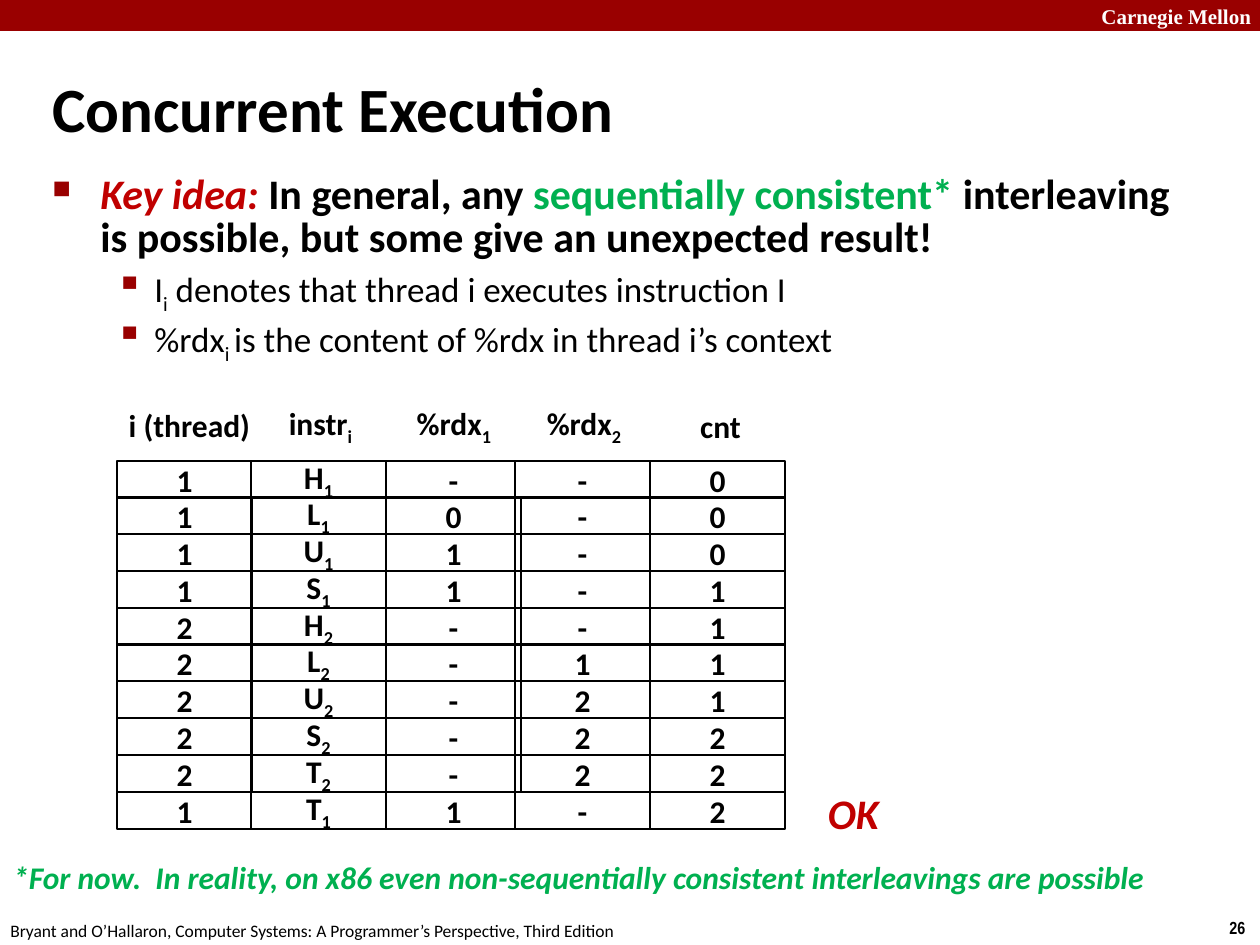
"""Build the Concurrent Execution slide with its interleaving trace."""
from lxml.etree import SubElement
from pptx import Presentation
from pptx.dml.color import RGBColor
from pptx.enum.shapes import MSO_SHAPE as Shape
from pptx.enum.text import MSO_ANCHOR as Anchor, MSO_AUTO_SIZE as AutoSize, PP_ALIGN as Align
from pptx.oxml.ns import qn
from pptx.util import Pt

PX = 914400 / 126
BLACK, WHITE, RED, CRIMSON, GREEN = "000000", "FFFFFF", "990000", "C00000", "00B050"
color_of = RGBColor.from_string


def add_spans(para, text, size, color=BLACK, bold=True, italic=False, font="Calibri"):
    for order, piece in enumerate(text.split("_")):
        span = para.add_run()
        span.text = piece
        span.font.name, span.font.size = font, Pt(size)
        span.font.bold, span.font.italic = bold, italic
        span.font.color.rgb = color_of(color)
        if order % 2:
            span._r.get_or_add_rPr().set("baseline", "-25000")


def add_box(left, top, width, height, anchor=Anchor.TOP, align=Align.LEFT, wrap=True, shape=None):
    place = [round(side * PX) for side in (left, top, width, height)]
    if shape is None:
        box = page.shapes.add_textbox(*place)
    else:
        box = page.shapes.add_shape(shape, *place)
        box.shadow.inherit = False
    frame = box.text_frame
    frame.word_wrap, frame.vertical_anchor = wrap, anchor
    frame.auto_size = AutoSize.NONE if wrap else AutoSize.SHAPE_TO_FIT_TEXT
    frame.paragraphs[0].alignment = align
    return box


deck = Presentation()
deck.slide_width, deck.slide_height = round(1260 * PX), round(945 * PX)
page = deck.slides.add_slide(deck.slide_layouts[6])

banner = add_box(0, 0, 1260, 31, shape=Shape.RECTANGLE)
banner.fill.solid()
banner.fill.fore_color.rgb = color_of(RED)
banner.line.fill.background()

for text, left, top, width, height, size, color, bold, font in [
    ("Carnegie Mellon", 1089, -3, 180, 38, 12, WHITE, True, "Times New Roman"),
    ("26", 1217, 911, 43, 34, 10, BLACK, True, "Arial Narrow"),
    ("Bryant and O’Hallaron, Computer Systems: A Programmer’s Perspective, Third Edition",
     -2, 914, 640, 34, 10, BLACK, False, "Calibri"),
]:
    box = add_box(left, top, width, height, wrap=False)
    add_spans(box.text_frame.paragraphs[0], text, size, color, bold, font=font)

title = add_box(40, 68, 912, 79, Anchor.MIDDLE)
add_spans(title.text_frame.paragraphs[0], "Concurrent Execution", 36)

body = add_box(40, 169, 1145, 200).text_frame
key_idea = [
    ("Key idea: ", 24, CRIMSON, True, True),
    ("In general, any ", 24),
    ("sequentially consistent* ", 24, GREEN),
    ("interleaving is possible, but some give an unexpected result!", 24),
]
thread_note = [("I_i_ denotes that thread i executes instruction I", 20, BLACK, False)]
context_note = [("%rdx_i _is the content of %rdx in thread i’s context", 20, BLACK, False)]
for order, spans in enumerate([key_idea, thread_note, context_note]):
    para = body.add_paragraph() if order else body.paragraphs[0]
    margin, hanging, bullet, percent = (102, 39, "▪", 110) if order else (48, 48, "■", 60)
    props = para._p.get_or_add_pPr()
    props.set("marL", str(round(margin * PX)))
    props.set("indent", str(round(-hanging * PX)))
    SubElement(SubElement(props, qn("a:buClr")), qn("a:srgbClr"), val=RED)
    SubElement(props, qn("a:buSzPct"), val=str(percent * 1000))
    SubElement(props, qn("a:buChar"), char=bullet)
    para.line_spacing = 0.9 if order else 0.85
    if order:
        para.level = 1
        para.space_before = Pt(4)
    for span in spans:
        add_spans(para, *span)

for text, left, top, width, height, size, color, italic in [
    ("i (thread)", 116, 400, 147, 50, 18, BLACK, False),
    ("instr_i", 276, 401, 89, 50, 18, BLACK, False),
    ("%rdx_1", 403, 401, 102, 50, 18, BLACK, False),
    ("%rdx_2", 533, 401, 102, 50, 18, BLACK, False),
    ("cnt", 687, 401, 67, 50, 18, BLACK, False),
    ("OK", 815, 781, 77, 63, 24, CRIMSON, True),
    ("*For now.  In reality, on x86 even non-sequentially consistent interleavings are possible ",
     -2, 852, 1169, 50, 18, GREEN, True),
]:
    box = add_box(left, top, width, height, Anchor.MIDDLE, Align.CENTER, wrap=False)
    add_spans(box.text_frame.paragraphs[0], text, size, color, italic=italic)

trace = [
    "1 H_1 - - 0",
    "1 L_1 0 - 0",
    "1 U_1 1 - 0",
    "1 S_1 1 - 1",
    "2 H_2 - - 1",
    "2 L_2 - 1 1",
    "2 U_2 - 2 1",
    "2 S_2 - 2 2",
    "2 T_2 - 2 2",
    "1 T_1 1 - 2",
]
column_lefts = [117, 251, 386, 515, 650]
for row, values in enumerate(trace):
    top = 461 + row * 331 // 9
    for left, value in zip(column_lefts, values.split()):
        cell = add_box(left, top, 135, 37, Anchor.MIDDLE, Align.CENTER, shape=Shape.RECTANGLE)
        if row in (0, len(trace) - 1):
            cell.fill.solid()
            cell.fill.fore_color.rgb = color_of(WHITE)
        else:
            cell.fill.background()
        cell.line.color.rgb = color_of(BLACK)
        cell.line.width = Pt(1)
        add_spans(cell.text_frame.paragraphs[0], value, 18)

deck.save("out.pptx")
